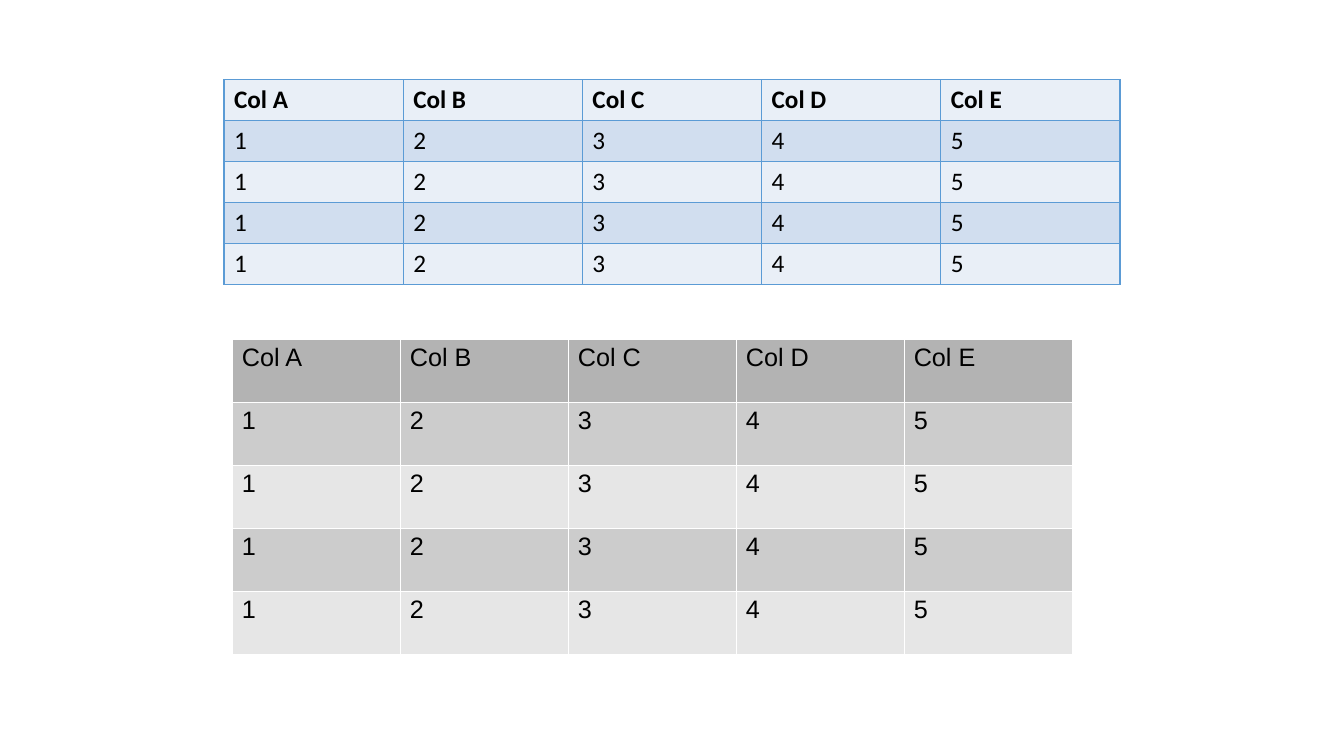
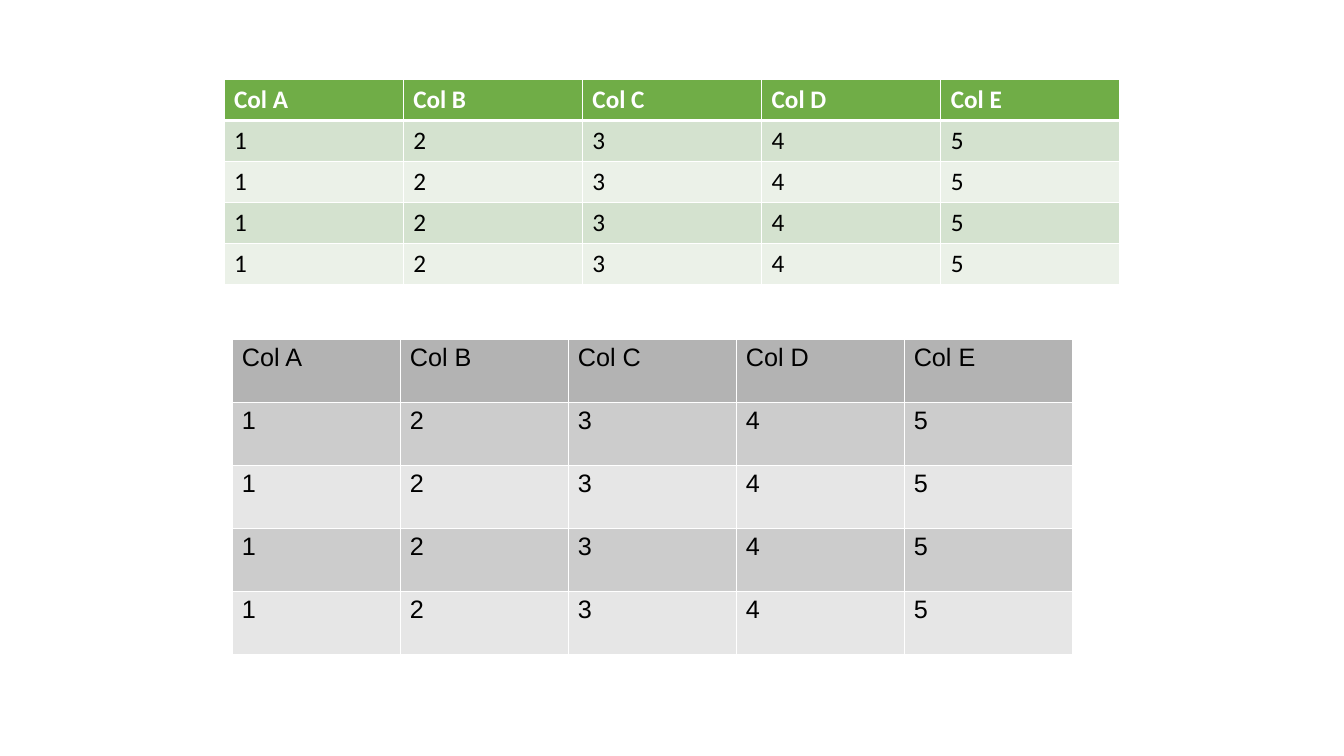
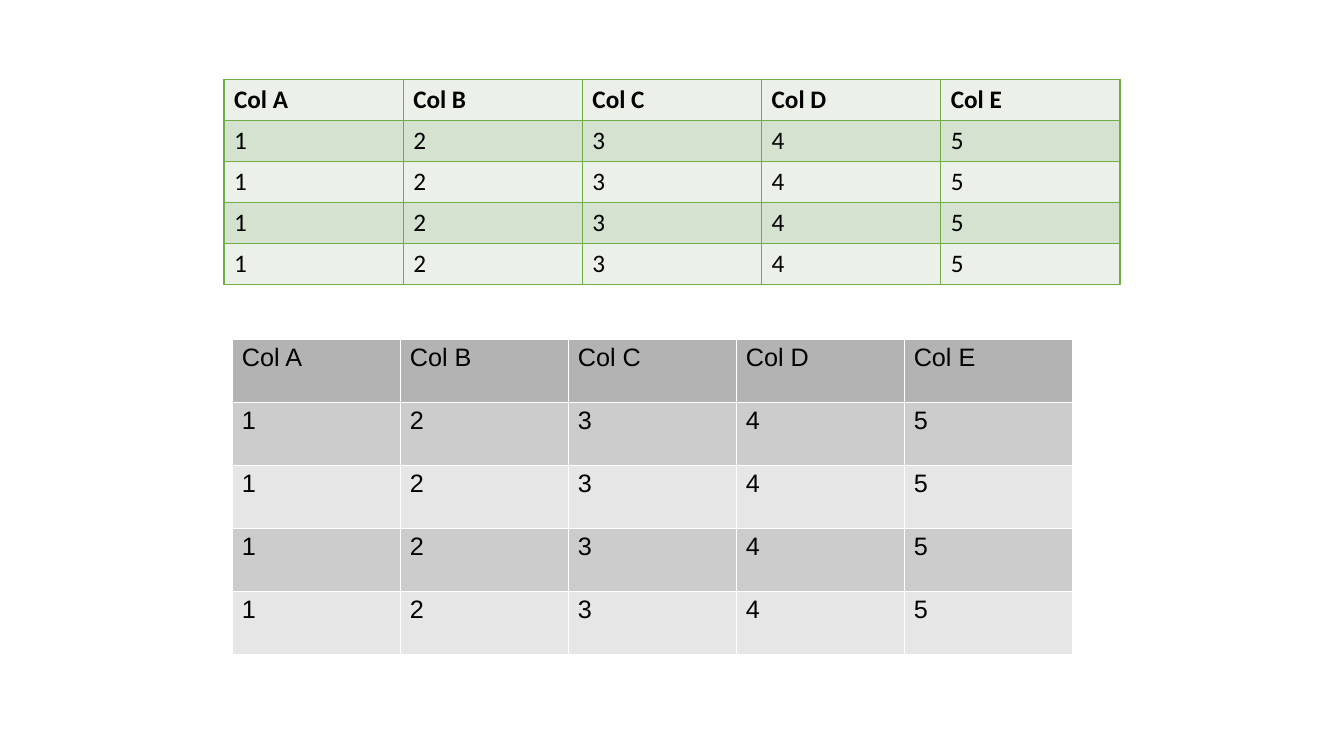
from lxml import etree
from pptx import Presentation
from pptx.dml.color import RGBColor
from pptx.enum.text import MSO_ANCHOR
from pptx.oxml.ns import qn
from pptx.util import Inches, Pt

TOP, MIDDLE = MSO_ANCHOR.TOP, MSO_ANCHOR.MIDDLE

# Colours
BLACK = RGBColor(0x00, 0x00, 0x00)
WHITE = RGBColor(0xFF, 0xFF, 0xFF)
BLUE = RGBColor(0x5B, 0x9B, 0xD5)
BLUE_MID = RGBColor(0xD1, 0xDE, 0xEF)
BLUE_PALE = RGBColor(0xE9, 0xEF, 0xF7)
GREEN = RGBColor(0x70, 0xAD, 0x47)
GREEN_MID = RGBColor(0xD4, 0xE2, 0xCF)
GREEN_PALE = RGBColor(0xEB, 0xF1, 0xE8)
GREY = RGBColor(0xB3, 0xB3, 0xB3)
GREY_MID = RGBColor(0xCC, 0xCC, 0xCC)
GREY_PALE = RGBColor(0xE6, 0xE6, 0xE6)

# Slide size and table places: left, top, width, height
WIDE, HIGH = 13.33, 7.5
UPPER = (WIDE / 6, 0.79, WIDE * 2 / 3, 2.03)
LOWER = (2.3, 3.36, 8.33, 3.13)

# Table content: a header and four equal rows
HEAD = [f"Col {name}" for name in "ABCDE"]
ROWS = [HEAD] + [list("12345")] * 4
THIN, THICK, HAIR = 0.96, 3, 0.06

# Upper table of each slide: header fill, text and rule, bands, border
LOOKS = [
    dict(head=BLUE_PALE, bands=(BLUE_MID, BLUE_PALE), edge=BLUE),
    dict(head=GREEN, bands=(GREEN_MID, GREEN_PALE), edge=WHITE,
         ink=WHITE, rule=THICK),
    dict(head=GREEN_PALE, bands=(GREEN_MID, GREEN_PALE), edge=GREEN),
]


def write(frame, text, font="Calibri", size=18, color=BLACK, bold=False):
    """Put one formatted run into a text frame."""
    run = frame.paragraphs[0].add_run()
    run.text = text
    run.font.name = font
    run.font.size = Pt(size)
    run.font.color.rgb = color
    run.font.bold = bold


def border(cell, side, color, width):
    """Draw one side (L, R, T or B) of a cell."""
    props = cell._tc.get_or_add_tcPr()
    line = etree.SubElement(props, qn(f"a:ln{side}"), w=str(Pt(width)))
    fill = etree.SubElement(line, qn("a:solidFill"))
    etree.SubElement(fill, qn("a:srgbClr"), val=str(color))


def grid(slide, place, head, bands, edge, width=THIN, rule=None,
         ink=BLACK, bold=True, font="Calibri", anchor=MIDDLE):
    """Add a banded table; rule is the width of the line below the header."""
    box = [Inches(length) for length in place]
    table = slide.shapes.add_table(len(ROWS), len(HEAD), *box).table
    rule = rule or width
    for r, row in enumerate(ROWS):
        first = r == 0
        lines = dict(L=width, R=width, T=rule if r == 1 else width,
                     B=rule if first else width)
        for c, text in enumerate(row):
            cell = table.cell(r, c)
            for side, weight in lines.items():
                border(cell, side, edge, weight)
            cell.fill.solid()
            cell.fill.fore_color.rgb = head if first else bands[(r - 1) % 2]
            cell.vertical_anchor = anchor
            write(cell.text_frame, text, font=font,
                  color=ink if first else BLACK, bold=bold and first)


def main():
    deck = Presentation()
    deck.slide_width, deck.slide_height = Inches(WIDE), Inches(HIGH)
    blank = deck.slide_layouts[6]
    for look in LOOKS:
        slide = deck.slides.add_slide(blank)
        grid(slide, UPPER, **look)
        grid(slide, LOWER, head=GREY, bands=(GREY_MID, GREY_PALE), edge=WHITE,
             width=HAIR, bold=False, font="Arial", anchor=TOP)
    deck.save("out.pptx")


if __name__ == "__main__":
    main()
